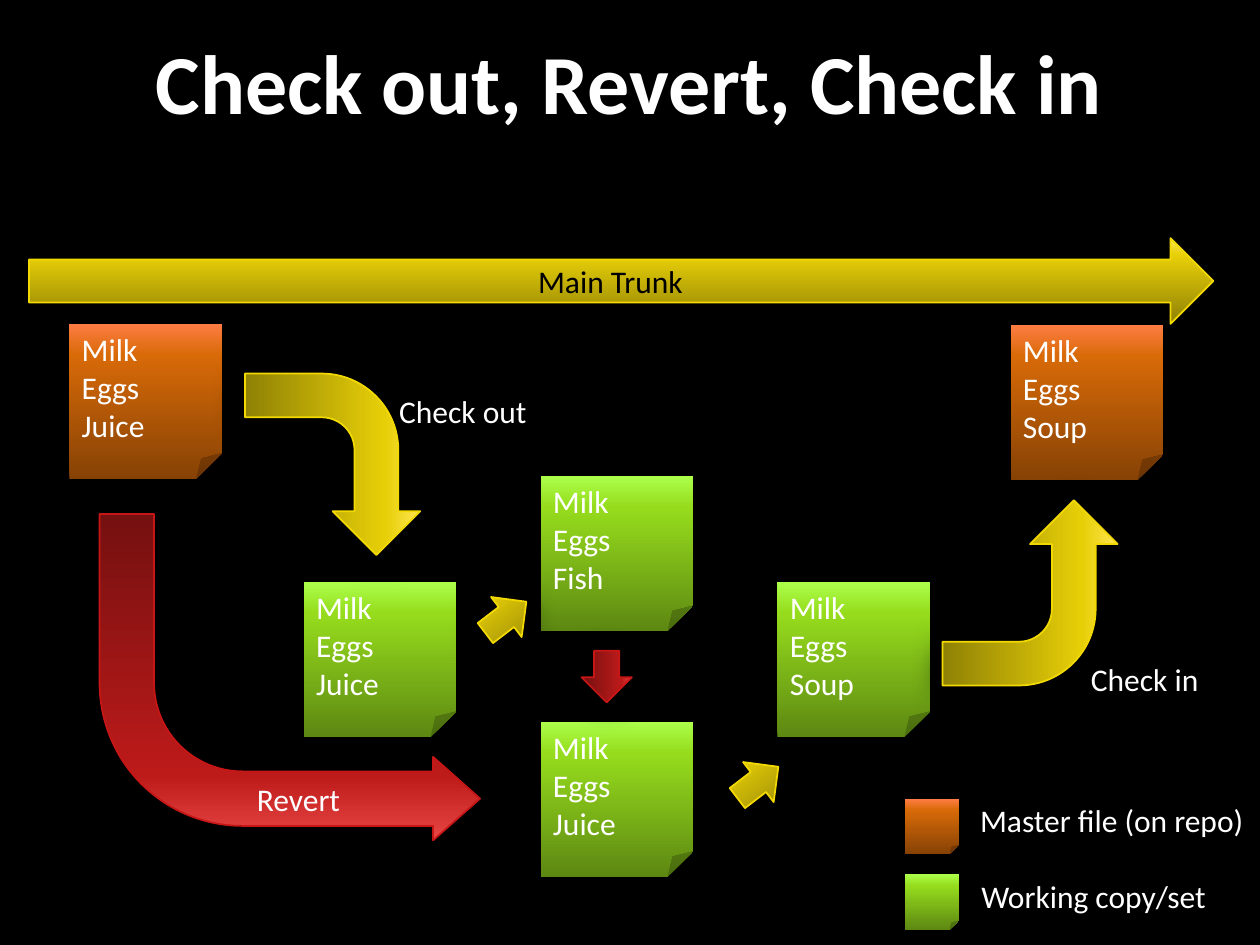
from lxml import etree
from pptx import Presentation
from pptx.dml.color import RGBColor
from pptx.enum.shapes import MSO_SHAPE
from pptx.enum.text import MSO_ANCHOR, MSO_AUTO_SIZE, PP_ALIGN
from pptx.oxml.ns import qn
from pptx.util import Inches, Pt

NOTE = MSO_SHAPE.FOLDED_CORNER
STRAIGHT = MSO_SHAPE.RIGHT_ARROW
BENT = MSO_SHAPE.BENT_ARROW
TOP, MIDDLE = MSO_ANCHOR.TOP, MSO_ANCHOR.MIDDLE
LEFT, CENTER = PP_ALIGN.LEFT, PP_ALIGN.CENTER
FIT_TEXT = MSO_AUTO_SIZE.SHAPE_TO_FIT_TEXT

FONT = "Calibri"
COLORS = {"black": "000000", "white": "FFFFFF",
          "yellow line": "F2D902", "red line": "C61616"}
# Gradient colours at 0, 80 and 100 percent, from bottom to top
GRADIENTS = {
    "yellow": ("8F8105", "E7CF08", "FFE552"),
    "red": ("751010", "BD1A1A", "E84545"),
    "master": ("864205", "D86A08", "FF7D44"),
    "working": ("5D8812", "96DC1D", "ACFF4A"),
}
STOPS = (0, 80, 100)
# Opacity in percent, blur and distance in points
NOTE_SHADOW = (40, 25, 30)
ARROW_SHADOW = (80, 18, 3)
NOTE_SIZE = (1.21, 1.23)
KEY_SIZE = (0.43, 0.44)
STEP_SIZE = (0.41, 0.4)
STEP_UP = 322.6


def rgb(name):
    return RGBColor.from_string(COLORS[name])


def write(frame, lines, color="white", size=18, align=LEFT, anchor=TOP, bold=False):
    frame.vertical_anchor = anchor
    for index, line in enumerate(lines):
        paragraph = frame.paragraphs[0] if index == 0 else frame.add_paragraph()
        paragraph.alignment = align
        run = paragraph.add_run()
        run.text = line
        run.font.name = FONT
        run.font.size = Pt(size)
        run.font.bold = bold
        run.font.color.rgb = rgb(color)


def add_color(parent, value):
    return etree.SubElement(parent, qn("a:srgbClr"), val=value)


def paint(shape, gradient):
    shape.fill.gradient()
    shape.fill.gradient_angle = 90
    stop_list = shape._element.spPr.find(qn("a:gradFill")).find(qn("a:gsLst"))
    for stop in list(stop_list):
        stop_list.remove(stop)
    for position, value in zip(STOPS, GRADIENTS[gradient]):
        stop = etree.SubElement(stop_list, qn("a:gs"), pos=str(position * 1000))
        add_color(stop, value)


def cast_shadow(shape, opacity, blur, distance):
    shape.shadow.inherit = False
    effects = shape._element.spPr.find(qn("a:effectLst"))
    shadow = etree.SubElement(
        effects, qn("a:outerShdw"), blurRad=str(Pt(blur)), dist=str(Pt(distance)),
        dir="5400000", rotWithShape="0")
    color = add_color(shadow, COLORS["black"])
    etree.SubElement(color, qn("a:alpha"), val=str(opacity * 1000))


def add_filled(slide, kind, at, size, gradient, shadow):
    shape = slide.shapes.add_shape(kind, *(Inches(v) for v in (*at, *size)))
    paint(shape, gradient)
    cast_shadow(shape, *shadow)
    return shape


def add_note(slide, at, gradient, items=(), size=NOTE_SIZE):
    note = add_filled(slide, NOTE, at, size, gradient, NOTE_SHADOW)
    note.line.fill.background()
    write(note.text_frame, items)


def add_arrow(slide, kind, at, size, gradient="yellow", turn=0, flip=None):
    arrow = add_filled(slide, kind, at, size, gradient, ARROW_SHADOW)
    arrow.line.color.rgb = rgb(gradient + " line")
    arrow.line.width = Pt(1)
    arrow.rotation = turn
    if flip:
        arrow._element.spPr.xfrm.set(flip, "1")
    return arrow


def add_label(slide, at, width, text):
    label = slide.shapes.add_textbox(*(Inches(v) for v in (*at, width, 0.4)))
    label.text_frame.word_wrap = False
    label.text_frame.auto_size = FIT_TEXT
    write(label.text_frame, [text])


def add_title(slide, text):
    title = slide.shapes.title
    title.left, title.top = Inches(0.85), Inches(0.12)
    title.width, title.height = Inches(8.29), Inches(1.04)
    write(title.text_frame, [text], size=48, align=CENTER, anchor=MIDDLE, bold=True)


def main():
    deck = Presentation()
    deck.slide_width, deck.slide_height = Inches(10), Inches(7.5)
    slide = deck.slides.add_slide(deck.slide_layouts[5])
    slide.background.fill.solid()
    slide.background.fill.fore_color.rgb = rgb("black")
    add_title(slide, "Check out, Revert, Check in")

    # Main trunk
    trunk = add_arrow(slide, STRAIGHT, (0.23, 1.89), (9.4, 0.68))
    write(trunk.text_frame, ["Main Trunk"], "black", align=CENTER, anchor=MIDDLE)

    # Versions of the file
    for at, gradient, last_item in (
        ((0.55, 2.57), "master", "Juice"),
        ((2.41, 4.62), "working", "Juice"),
        ((6.17, 4.62), "working", "Soup"),
        ((8.02, 2.58), "master", "Soup"),
        ((4.29, 3.78), "working", "Fish"),
    ):
        add_note(slide, at, gradient, ("Milk", "Eggs", last_item))

    # Check out and check in
    add_arrow(slide, BENT, (1.92, 2.99), (1.44, 1.39), turn=90)
    add_label(slide, (3.07, 3.06), 1.27, "Check out")
    add_arrow(slide, BENT, (7.44, 4.01), (1.47, 1.39), turn=90, flip="flipH")
    add_label(slide, (8.56, 5.19), 1.09, "Check in")

    # Revert
    revert = add_arrow(slide, BENT, (0.79, 4.08), (3.02, 2.59), "red", flip="flipV")
    for index, value in enumerate((0.167, 0.128, 0.144, 0.438)):
        revert.adjustments[index] = value
    add_label(slide, (1.94, 6.14), 0.92, "Revert")
    add_note(slide, (4.29, 5.73), "working", ("Milk", "Eggs", "Juice"))

    # Steps between working copies
    add_arrow(slide, STRAIGHT, (3.81, 4.7), STEP_SIZE, turn=STEP_UP)
    add_arrow(slide, STRAIGHT, (4.61, 5.17), STEP_SIZE, "red", turn=90)
    add_arrow(slide, STRAIGHT, (5.81, 6.01), STEP_SIZE, turn=STEP_UP)

    # Legend
    for top, gradient, left, width, meaning in (
        (6.34, "master", 7.68, 2.4, "Master file (on repo)"),
        (6.94, "working", 7.69, 2.06, "Working copy/set"),
    ):
        add_note(slide, (7.18, top), gradient, size=KEY_SIZE)
        add_label(slide, (left, top - 0.03), width, meaning)

    deck.save("out.pptx")


if __name__ == "__main__":
    main()
